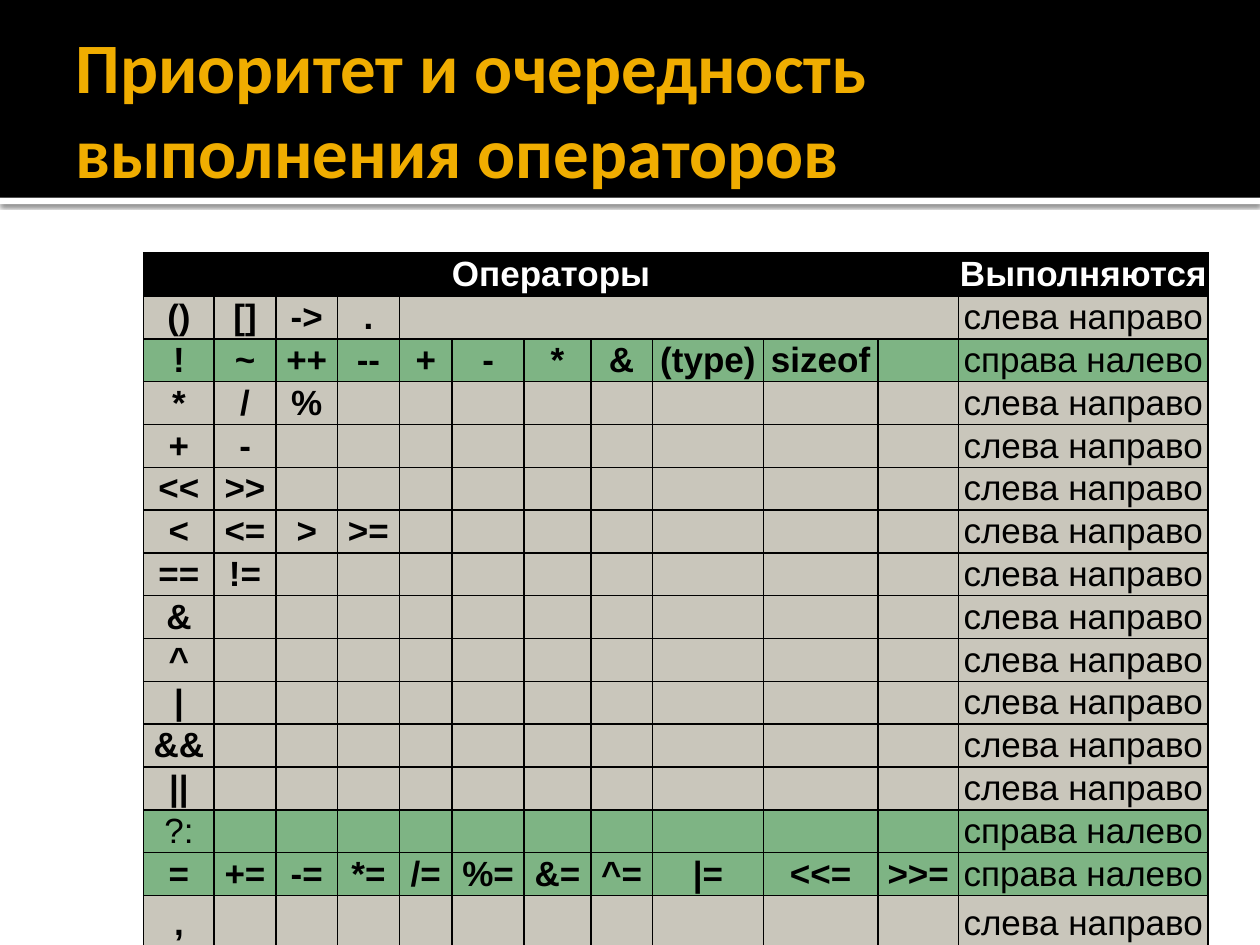
import pptx
import pptx.dml.color
import pptx.enum.shapes
import pptx.enum.text
import pptx.oxml
import pptx.oxml.ns
import pptx.util

COLS, ROWS = 100, 75
WIDTH, HEIGHT = pptx.util.Inches(10), pptx.util.Inches(7.5)
BLACK, WHITE, GOLD, GREY, GREEN = "000000", "FFFFFF", "F0AD00", "C9C6BB", "7EB484"
LEFT, RIGHT = "слева направо", "справа налево"
COLUMN_WIDTHS = [5.6, 4.9, 4.9, 4.9, 4.2, 5.7, 5.3, 4.9, 8.8, 9.1, 6.4, 19.8]
ROW_HEIGHTS = [3.4] * 15 + [4.5]
OPERATORS = [
    ("() [] -> .", LEFT),
    ("! ~ ++ -- + - * & (type) sizeof", RIGHT),
    ("* / %", LEFT),
    ("+ -", LEFT),
    ("<< >>", LEFT),
    ("< <= > >=", LEFT),
    ("== !=", LEFT),
    ("&", LEFT),
    ("^", LEFT),
    ("|", LEFT),
    ("&&", LEFT),
    ("||", LEFT),
    ("?:", RIGHT),
    ("= += -= *= /= %= &= ^= |= <<= >>=", RIGHT),
    (",", LEFT),
]


def col(n):
    return round(WIDTH * n / COLS)


def row(n):
    return round(HEIGHT * n / ROWS)


def place(box):
    x, y, w, h = box
    return col(x), row(y), col(w), row(h)


def rgb(color):
    return pptx.dml.color.RGBColor.from_string(color)


def add_xml(parent, xml):
    ns = pptx.oxml.ns.nsdecls("a")
    parent.append(pptx.oxml.parse_xml(xml.replace(" ", f" {ns} ", 1)))


def add_run(p, text, font, size, color, bold):
    r = p.add_run()
    r.text = text
    r.font.name = font
    r.font.size = pptx.util.Pt(size)
    r.font.color.rgb = rgb(color)
    r.font.bold = bold


def add_band(s, box, color):
    sp = s.shapes.add_shape(pptx.enum.shapes.MSO_SHAPE.RECTANGLE, *place(box))
    sp.shadow.inherit = False
    sp.fill.solid()
    sp.fill.fore_color.rgb = rgb(color)
    sp.line.fill.background()
    return sp


def add_header(s, box):
    x, y, w, h = box
    strip = add_band(s, (x, y + h, w, 0.5), WHITE)
    add_xml(
        strip._element.spPr.find(pptx.oxml.ns.qn("a:effectLst")),
        '<a:outerShdw blurRad="31750" dist="10160" dir="5400000" rotWithShape="0">'
        f'<a:srgbClr val="{BLACK}"><a:alpha val="60000"/></a:srgbClr></a:outerShdw>',
    )
    add_band(s, box, BLACK)
    tf = s.shapes.add_textbox(*place((x + 5, y + 1.7, w - 10, h - 2))).text_frame
    tf.word_wrap = True
    tf.vertical_anchor = pptx.enum.text.MSO_ANCHOR.MIDDLE
    tf.margin_left = pptx.util.Inches(0.1)
    tf.margin_top = tf.margin_right = tf.margin_bottom = pptx.util.Inches(0.05)
    title = "Приоритет и очередность выполнения операторов"
    add_run(tf.paragraphs[0], title, "Calibri", 40.5, GOLD, True)


def style_cell(cell, fill):
    cell.margin_left = cell.margin_right = cell.margin_top = cell.margin_bottom = 0
    cell.vertical_anchor = pptx.enum.text.MSO_ANCHOR.MIDDLE
    tcPr = cell._tc.get_or_add_tcPr()
    for side in ("lnL", "lnR", "lnT", "lnB"):
        add_xml(
            tcPr,
            f'<a:{side} w="12700"><a:solidFill><a:srgbClr val="{BLACK}"/>'
            f"</a:solidFill></a:{side}>",
        )
    cell.fill.solid()
    cell.fill.fore_color.rgb = rgb(fill)


def write_cell(cell, text, color, bold):
    p = cell.text_frame.paragraphs[0]
    p.alignment = pptx.enum.text.PP_ALIGN.CENTER
    pPr = p._p.get_or_add_pPr()
    pPr.set("marL", str(pptx.util.Inches(0.38)))
    pPr.set("indent", str(-pptx.util.Inches(0.38)))
    add_run(p, text, "Arial", 20, color, bold)


def add_operator_table(s, box):
    n_rows, n_cols = len(ROW_HEIGHTS), len(COLUMN_WIDTHS)
    last = n_cols - 1
    table = s.shapes.add_table(n_rows, n_cols, *place(box)).table
    for column, width in zip(table.columns, COLUMN_WIDTHS):
        column.width = col(width)
    for table_row, height in zip(table.rows, ROW_HEIGHTS):
        table_row.height = row(height)

    fills = [BLACK] + [GREEN if order == RIGHT else GREY for _, order in OPERATORS]
    for i, fill in enumerate(fills):
        for j in range(n_cols):
            style_cell(table.cell(i, j), fill)
    table.cell(0, 0).merge(table.cell(0, last - 1))
    table.cell(1, 4).merge(table.cell(1, last - 1))

    write_cell(table.cell(0, 0), "Операторы", WHITE, True)
    write_cell(table.cell(0, last), "Выполняются", WHITE, True)
    for i, (operators, order) in enumerate(OPERATORS, 1):
        for j, operator in enumerate(operators.split()):
            write_cell(table.cell(i, j), operator, BLACK, operator != "?:")
        write_cell(table.cell(i, last), order, BLACK, False)


def main():
    prs = pptx.Presentation()
    prs.slide_width, prs.slide_height = WIDTH, HEIGHT
    s = prs.slides.add_slide(prs.slide_layouts[6])
    add_header(s, (0, 0, COLS, 15.7))
    add_operator_table(s, (11.4, 20.1, sum(COLUMN_WIDTHS), sum(ROW_HEIGHTS)))
    prs.save("out.pptx")


if __name__ == "__main__":
    main()
